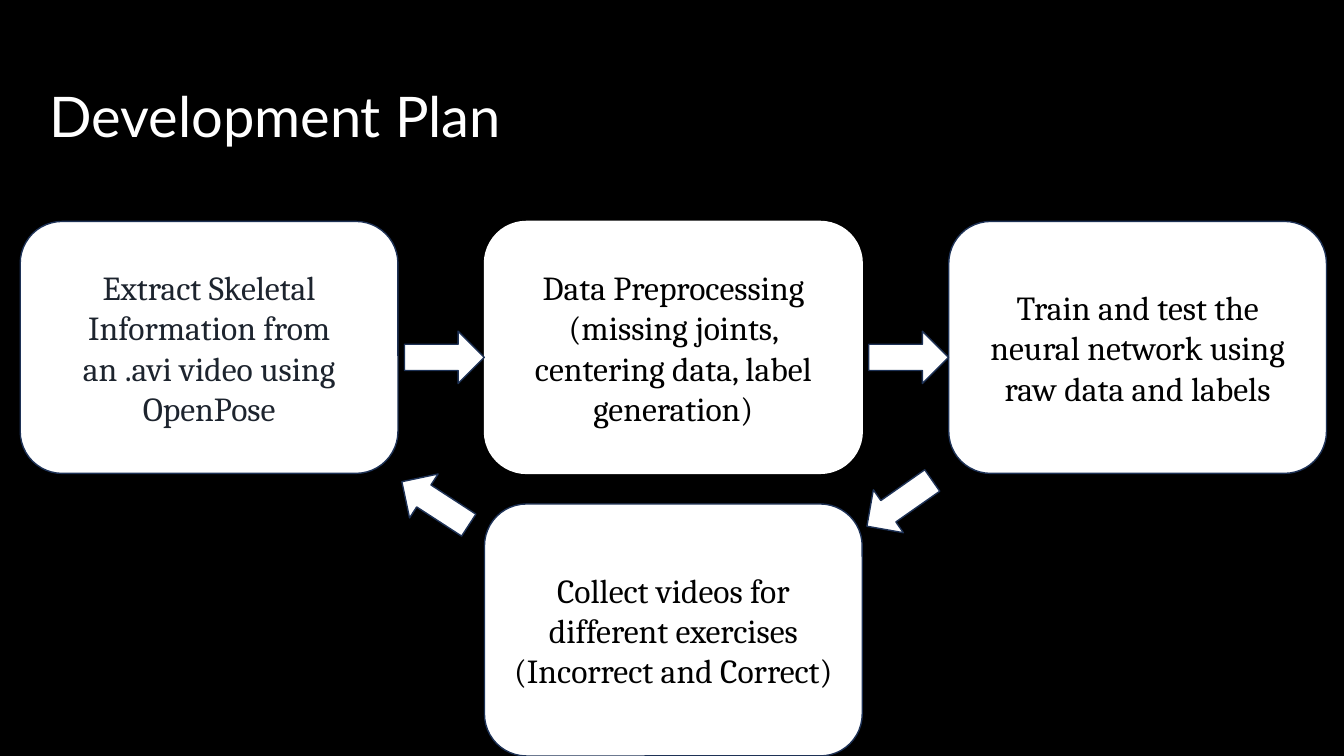
"""Build the development plan slide: four steps joined in a cycle by block arrows."""
from pptx import Presentation
from pptx import util as u
from pptx.dml import color
from pptx.enum import shapes, text

COLORS = {"black": "000000", "white": "FFFFFF", "navy": "1E3256", "slate": "1D242E"}
LEFT, PITCH = 0.51, 11.7
BOX_W, BOX_H = 9.52, 6.35
ROW_TOPS = (5.58, 12.7)
ARROW_W, ARROW_H = 1.32, 2.01

STEPS = [
    (0, 0, "Extract Skeletal Information from an .avi video using OpenPose", "slate", "navy", 1.0),
    (1, 0, "Data Preprocessing (missing joints, centering data, label generation)",
     "black", "white", 0.25),
    (2, 0, "Train and test the neural network using raw data and labels", "black", "navy", 0.25),
    (1, 1, "Collect videos for different exercises (Incorrect and Correct)", "black", "navy", 0.25),
]
ARROWS = [(10.54, 8.0, 270), (10.54 + PITCH, 8.0, 270),
          (10.31, 11.68, 123), (10.31 + PITCH, 11.68, 55)]


def rgb(name):
    """Return the named colour."""
    return color.RGBColor.from_string(COLORS[name])


def style_text(tf, words, font, size, ink, align):
    """Write one middle-anchored paragraph and format its run."""
    tf.text = words
    tf.word_wrap = True
    tf.vertical_anchor = text.MSO_ANCHOR.MIDDLE
    p = tf.paragraphs[0]
    p.alignment = align
    r = p.runs[0]
    r.font.name = font
    r.font.size = u.Pt(size)
    r.font.color.rgb = rgb(ink)


def add_block(s, kind, left, top, width, height, line):
    """Add a white preset shape with a thin outline."""
    sp = s.shapes.add_shape(kind, u.Cm(left), u.Cm(top), u.Cm(width), u.Cm(height))
    sp.shadow.inherit = False
    sp.fill.solid()
    sp.fill.fore_color.rgb = rgb("white")
    sp.line.color.rgb = rgb(line)
    sp.line.width = u.Pt(1)
    return sp


def add_title(s, words):
    """Add the slide heading."""
    sp = s.shapes.add_textbox(u.Cm(1), u.Cm(1), u.Cm(27.5), u.Cm(3.78))
    style_text(sp.text_frame, words, "Lato", 40, "white", text.PP_ALIGN.LEFT)


def add_step(s, col, row, words, ink, line, margin):
    """Add one rounded step box at its grid position."""
    sp = add_block(s, shapes.MSO_SHAPE.ROUNDED_RECTANGLE,
                   LEFT + col * PITCH, ROW_TOPS[row], BOX_W, BOX_H, line)
    tf = sp.text_frame
    tf.margin_left = tf.margin_right = u.Cm(margin)
    style_text(tf, words, "Cambria", 24, ink, text.PP_ALIGN.CENTER)


def add_arrow(s, left, top, angle):
    """Add one block arrow turned towards the next step."""
    sp = add_block(s, shapes.MSO_SHAPE.DOWN_ARROW, left, top, ARROW_W, ARROW_H, "navy")
    sp.rotation = angle


def main():
    """Create and save the presentation."""
    prs = Presentation()
    prs.slide_width, prs.slide_height = u.Cm(33.87), u.Cm(19.05)
    s = prs.slides.add_slide(prs.slide_layouts[6])
    s.background.fill.solid()
    s.background.fill.fore_color.rgb = rgb("black")
    add_title(s, "Development Plan")
    for step in STEPS:
        add_step(s, *step)
    for arrow in ARROWS:
        add_arrow(s, *arrow)
    prs.save("out.pptx")


if __name__ == "__main__":
    main()
